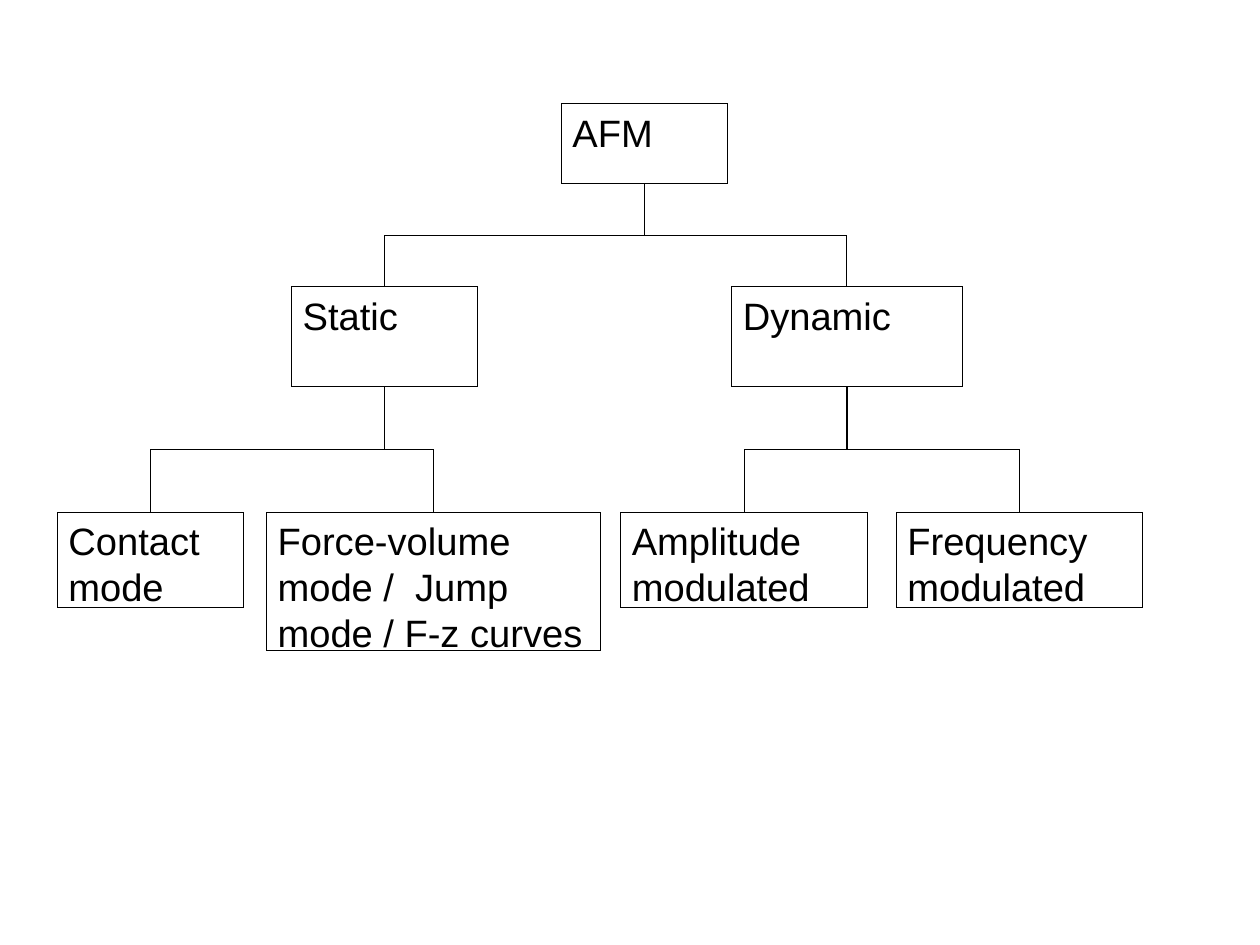
from dataclasses import dataclass

from lxml import etree
from pptx import Presentation
from pptx import util as u
from pptx.dml.color import RGBColor
from pptx.enum import shapes, text
from pptx.oxml.ns import qn


@dataclass(frozen=True)
class Theme:
    ink: RGBColor = RGBColor(0, 0, 0)
    font: str = "Arial"
    size: u.Pt = u.Pt(24)
    hairline: u.Pt = u.Pt(0.01)


theme = Theme()


def write(box, wording, font=theme.font, size=theme.size, color=theme.ink):
    frame = box.text_frame
    frame.word_wrap = True
    frame.auto_size = text.MSO_AUTO_SIZE.NONE
    frame.vertical_anchor = text.MSO_ANCHOR.TOP
    paragraph = frame.paragraphs[0]
    paragraph.alignment = text.PP_ALIGN.LEFT
    run = paragraph.add_run()
    run.text = wording
    run.font.name, run.font.size = font, size
    run.font.color.rgb = color


def join(slide, parent, child):
    """Draw an elbow from the parent's bottom to the child's top, bending halfway."""
    link = slide.shapes.add_connector(shapes.MSO_CONNECTOR.ELBOW, 0, 0, 0, 0)
    link.begin_connect(parent, 2)
    link.end_connect(child, 0)
    start_x, end_x = link.begin_x, link.end_x
    start_y, end_y = link.begin_y, link.end_y
    drop, reach = end_y - start_y, abs(end_x - start_x)
    # The elbow leaves vertically, so its frame is turned a quarter about its centre.
    link.left = (start_x + end_x - drop) // 2
    link.top = (start_y + end_y - reach) // 2
    link.width, link.height = drop, reach
    to_right = end_x > start_x
    frame = link._element.spPr.find(qn("a:xfrm"))
    frame.set("rot", str((270 if to_right else 90) * 60000))
    frame.set("flipH", "1" if to_right else "0")
    frame.set("flipV", "0")
    link.line.color.rgb = theme.ink
    link.line.width = theme.hairline
    etree.SubElement(link._element.spPr, qn("a:effectLst"))


# The page is 28 by 21 centimetres.
prs = Presentation()
prs.slide_width, prs.slide_height = u.Inches(28 / 2.54), u.Inches(21 / 2.54)
slide = prs.slides.add_slide(prs.slide_layouts[6])

root_top, branch_top, leaf_top = 0.91, 2.51, 4.48
# wording, parent, left, top, width, height
modes = [
    ("AFM", None, 4.91, root_top, 1.46, 0.7),
    ("Static", "AFM", 2.55, branch_top, 1.63, 0.87),
    ("Dynamic", "AFM", 6.4, branch_top, 2.02, 0.87),
    ("Contact mode", "Static", 0.5, leaf_top, 1.63, 0.84),
    ("Force-volume mode /  Jump mode / F-z curves", "Static", 2.33, leaf_top, 2.92, 1.21),
    ("Amplitude modulated", "Dynamic", 5.43, leaf_top, 2.16, 0.84),
    ("Frequency modulated", "Dynamic", 7.84, leaf_top, 2.16, 0.84),
]

boxes = {}
for wording, parent, *place in modes:
    box = slide.shapes.add_shape(
        shapes.MSO_SHAPE.RECTANGLE, *(u.Inches(length) for length in place))
    box.shadow.inherit = False
    box.fill.background()
    box.line.color.rgb = theme.ink
    box.line.width = theme.hairline
    write(box, wording)
    boxes[wording] = box

for wording, parent, *_ in modes:
    if parent:
        join(slide, boxes[parent], boxes[wording])

prs.save("out.pptx")
